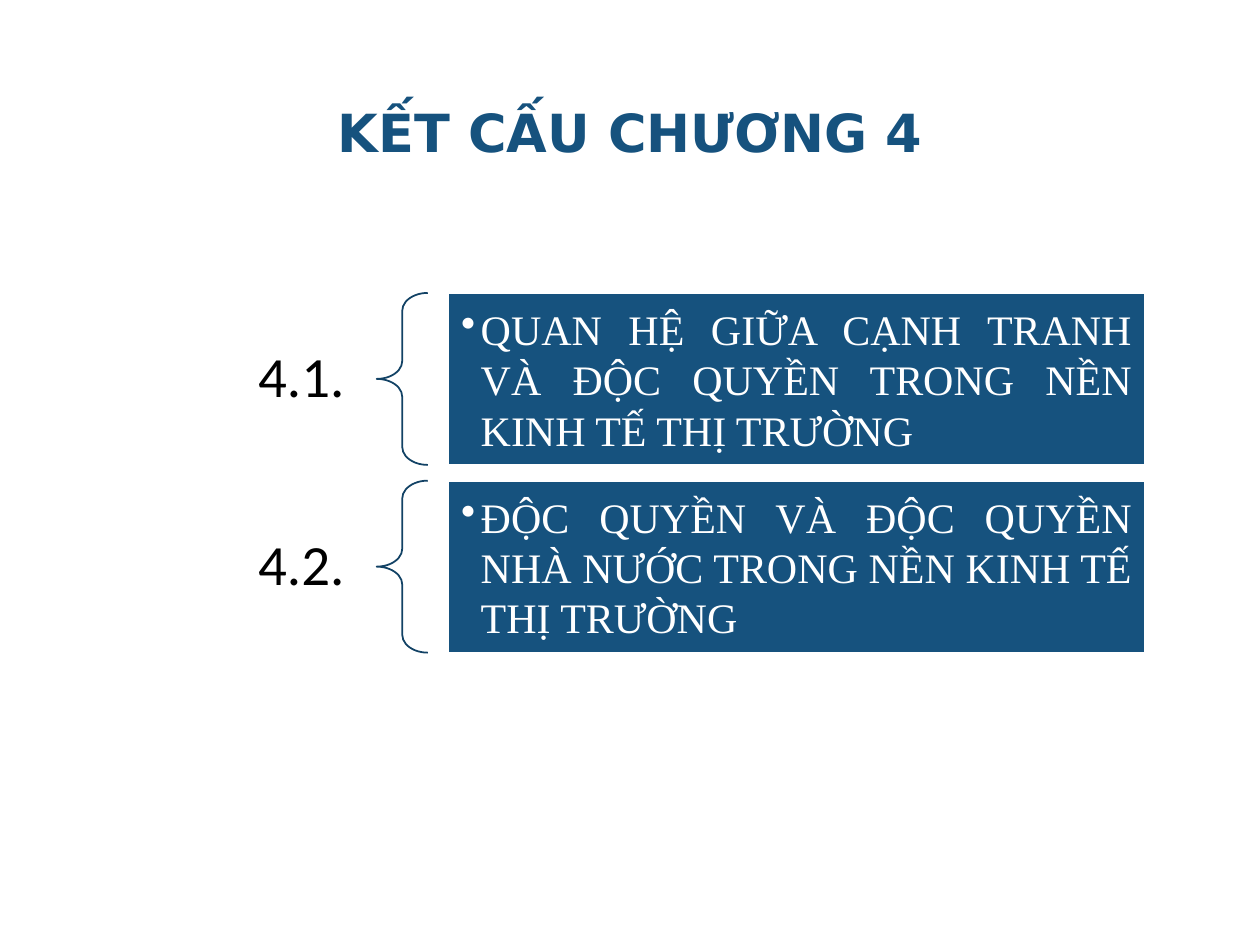
from lxml.etree import SubElement
from pptx import Presentation
from pptx.dml.color import RGBColor
from pptx.enum.shapes import MSO_SHAPE as Shape
from pptx.enum.text import MSO_ANCHOR as Anchor, PP_ALIGN as Align
from pptx.oxml.ns import qn
from pptx.util import Inches, Pt

BLUE, DARK_BLUE, WHITE, BLACK = "16527E", "124265", "FFFFFF", "000000"
LABEL_LEFT, LABEL_WIDTH, LABEL_HEIGHT = 1.92, 4.06, 1.41
BRACE_LEFT, BRACE_WIDTH = 5.98, 0.81
PANEL_LEFT, PANEL_WIDTH = 7.12, 11.05
FIRST_TOP, ROW_HEIGHT, ROW_STEP = 4.65, 2.73, 2.98

SECTIONS = [
    ("4.1.", "QUAN HỆ GIỮA CẠNH TRANH VÀ ĐỘC QUYỀN TRONG NỀN KINH TẾ THỊ TRƯỜNG"),
    ("4.2.", "ĐỘC QUYỀN VÀ ĐỘC QUYỀN NHÀ NƯỚC TRONG NỀN KINH TẾ THỊ TRƯỜNG"),
]


def color(value):
    return RGBColor.from_string(value)


def inches(*lengths):
    return [Inches(length) for length in lengths]


def add_bullet(para, indent):
    properties = para._p.get_or_add_pPr()
    properties.set("marL", str(Inches(indent)))
    properties.set("indent", str(-Inches(indent)))
    SubElement(properties, qn("a:buChar"), char="•")


def write(box, text, *, size, font, fill, align, margins, bold=False, spacing=1.0, bullet=None):
    """Fill a shape with one middle-anchored paragraph; margins are (sides, top and bottom)."""
    frame = box.text_frame
    frame.word_wrap = True
    frame.vertical_anchor = Anchor.MIDDLE
    frame.margin_left = frame.margin_right = Inches(margins[0])
    frame.margin_top = frame.margin_bottom = Inches(margins[1])
    para = frame.paragraphs[0]
    para.alignment = align
    para.line_spacing = spacing
    if bullet:
        add_bullet(para, bullet)
    span = para.add_run()
    span.text = text
    span.font.size, span.font.name, span.font.bold = Pt(size), font, bold
    span.font.color.rgb = color(fill)


def add_title(page, text):
    title = page.shapes.title
    title.left, title.top, title.width, title.height = inches(1, 0.83, 18, 2.5)
    write(title, text, size=60, font="DejaVu Sans", fill=BLUE, align=Align.CENTER,
          margins=(0.27, 0.13), bold=True)


def add_outlined(page, kind, line, *place):
    shape = page.shapes.add_shape(kind, *inches(*place))
    shape.shadow.inherit = False
    shape.line.color.rgb = color(line)
    shape.line.width = Pt(2)
    return shape


def add_section(page, top, number, topic):
    label_top = top + (ROW_HEIGHT - LABEL_HEIGHT) / 2
    label = page.shapes.add_textbox(*inches(LABEL_LEFT, label_top, LABEL_WIDTH, LABEL_HEIGHT))
    write(label, number, size=65, font="Calibri", fill=BLACK, align=Align.RIGHT,
          margins=(0.51, 0.18), spacing=0.9)

    brace = add_outlined(page, Shape.LEFT_BRACE, DARK_BLUE,
                         BRACE_LEFT, top, BRACE_WIDTH, ROW_HEIGHT)
    brace.adjustments[0] = 0.35
    brace.fill.background()

    panel = add_outlined(page, Shape.RECTANGLE, WHITE,
                         PANEL_LEFT, top, PANEL_WIDTH, ROW_HEIGHT)
    panel.fill.solid()
    panel.fill.fore_color.rgb = color(BLUE)
    write(panel, topic, size=48, font="Times New Roman", fill=WHITE, align=Align.JUSTIFY,
          margins=(0.2, 0.2), bullet=0.31)


def main():
    deck = Presentation()
    deck.slide_width, deck.slide_height = inches(20, 15)
    page = deck.slides.add_slide(deck.slide_layouts[5])
    add_title(page, "KẾT CẤU CHƯƠNG 4")
    for row, (number, topic) in enumerate(SECTIONS):
        add_section(page, FIRST_TOP + row * ROW_STEP, number, topic)
    deck.save("out.pptx")


if __name__ == "__main__":
    main()
